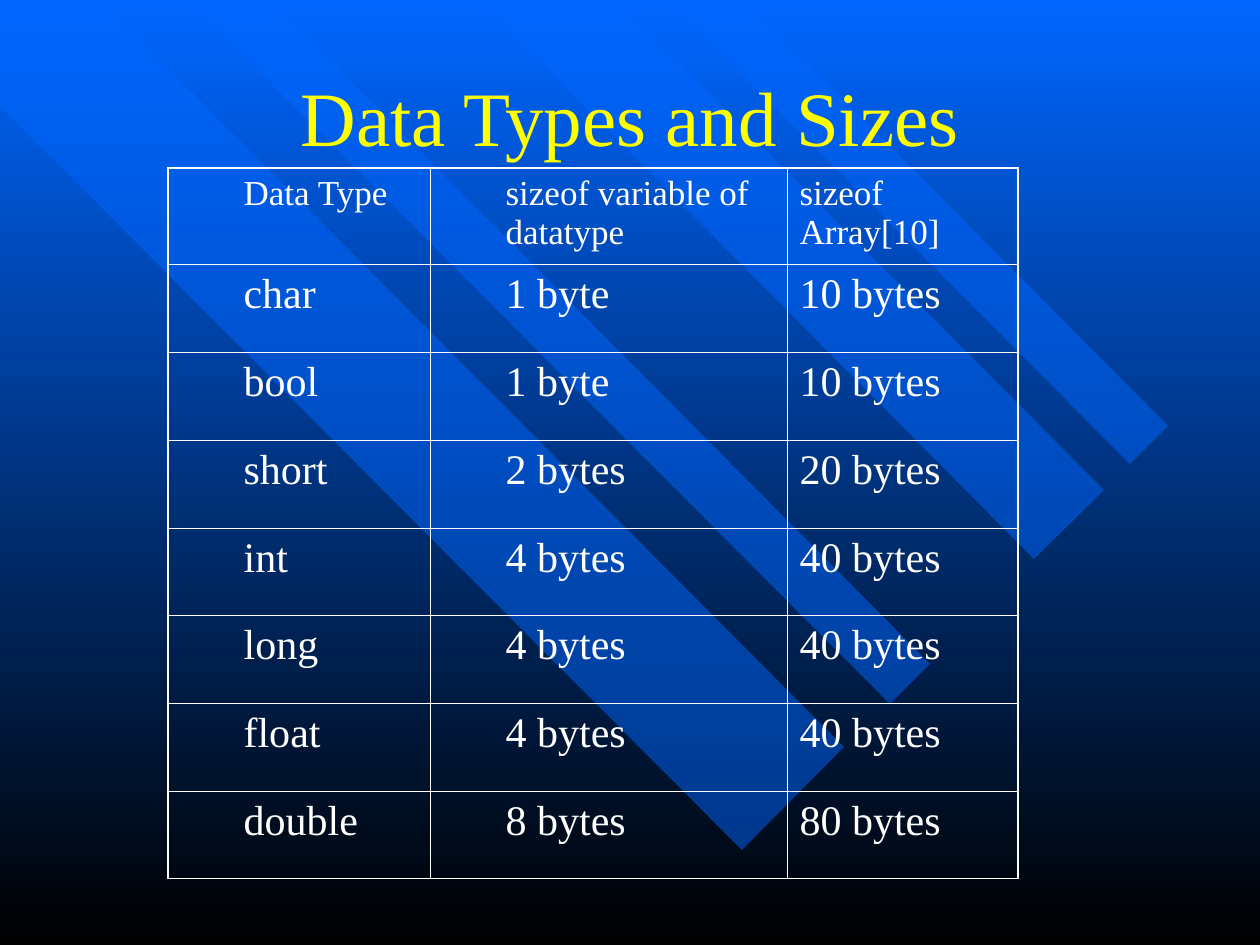
from lxml.etree import SubElement
from pptx import Presentation
from pptx.dml.color import RGBColor
from pptx.enum.text import MSO_ANCHOR as Anchor, PP_ALIGN as Align
from pptx.oxml import parse_xml
from pptx.oxml.ns import nsdecls, qn
from pptx.util import Pt

SCALE = 914400 / 126
BLUE = RGBColor(0x00, 0x66, 0xFF)
BLACK = RGBColor(0x00, 0x00, 0x00)
YELLOW = RGBColor(0xFF, 0xFF, 0x00)
WHITE = RGBColor(0xFF, 0xFF, 0xFF)

STRIPES = [
    [(844, 747), (100, 0), (0, 0), (0, 106), (742, 850)],
    [(270, 0), (930, 664), (890, 704), (188, 0)],
    [(616, 0), (1104, 490), (1034, 559), (479, 0)],
    [(668, 0), (1130, 464), (1168, 426), (745, 0)],
]
DATA_TYPES = [
    ("Data Type", "sizeof variable of datatype", "sizeof Array[10]"),
    ("char", "1 byte", "10 bytes"),
    ("bool", "1 byte", "10 bytes"),
    ("short", "2 bytes", "20 bytes"),
    ("int", "4 bytes", "40 bytes"),
    ("long", "4 bytes", "40 bytes"),
    ("float", "4 bytes", "40 bytes"),
    ("double", "8 bytes", "80 bytes"),
]
COLUMN_WIDTHS = [262, 357, 231]
ROW_HEIGHTS = [96, 88, 88, 88, 87, 88, 88, 87]


def px(length):
    """Turn pixels into EMU."""
    return round(length * SCALE)


class SlideBuilder:
    """Hold the slide and its style, and draw each kind of element."""

    font = "Times New Roman"
    indent = 63
    thin, thick = 0.45, 1.08

    def __init__(self, slide):
        """Start on the given slide."""
        self.slide = slide

    def background(self, top_color, bottom_color):
        """Fill the slide with a vertical gradient."""
        fill = self.slide.background.fill
        fill.gradient()
        fill.gradient_angle = 270
        for stop, color in zip(fill.gradient_stops, (top_color, bottom_color)):
            stop.color.rgb = color

    def stripe(self, points, color, opacity):
        """Draw a translucent polygon."""
        builder = self.slide.shapes.build_freeform(*points[0], scale=SCALE)
        builder.add_line_segments(points[1:], close=True)
        shape = builder.convert_to_shape()
        shape.shadow.inherit = False
        shape.line.fill.background()
        shape.fill.solid()
        shape.fill.fore_color.rgb = color
        color_xml = shape.fill._xPr.find(".//" + qn("a:srgbClr"))
        SubElement(color_xml, qn("a:alpha"), val=str(opacity * 1000))

    def run(self, paragraph, text, size, color):
        """Add one styled run to a paragraph."""
        run = paragraph.add_run()
        run.text = text
        run.font.name = self.font
        run.font.size = Pt(size)
        run.font.color.rgb = color

    def title(self, text, left, top, width, height):
        """Add the centred title."""
        box = self.slide.shapes.add_textbox(*map(px, (left, top, width, height)))
        frame = box.text_frame
        frame.word_wrap = True
        frame.vertical_anchor = Anchor.MIDDLE
        paragraph = frame.paragraphs[0]
        paragraph.alignment = Align.CENTER
        self.run(paragraph, text, 44, YELLOW)

    def borders(self, cell, widths):
        """Draw the left, right, top and bottom borders of a cell."""
        properties = cell._tc.get_or_add_tcPr()
        for index, (side, width) in enumerate(zip("LRTB", widths)):
            properties.insert(index, parse_xml(
                f'<a:ln{side} {nsdecls("a")} w="{Pt(width)}"><a:solidFill>'
                f'<a:srgbClr val="{WHITE}"/></a:solidFill></a:ln{side}>'))

    def table(self, rows, left, top, column_widths, row_heights):
        """Add an unfilled table with a thick outer frame."""
        last_row, last_column = len(rows) - 1, len(column_widths) - 1
        table = self.slide.shapes.add_table(
            len(rows), len(column_widths), px(left), px(top),
            px(sum(column_widths)), px(sum(row_heights))).table
        table.first_row = table.horz_banding = False
        for column, width in zip(table.columns, column_widths):
            column.width = px(width)
        for row, height in zip(table.rows, row_heights):
            row.height = px(height)
        for i, texts in enumerate(rows):
            for j, text in enumerate(texts):
                cell = table.cell(i, j)
                cell.fill.background()
                outer = (j == 0, j == last_column, i == 0, i == last_row)
                self.borders(cell, [self.thick if edge else self.thin for edge in outer])
                paragraph = cell.text_frame.paragraphs[0]
                paragraph.space_before = Pt(5 if i == 0 else 6)
                if j < last_column:
                    paragraph.level = 1
                    properties = paragraph._p.get_or_add_pPr()
                    properties.set("marL", str(px(self.indent)))
                    properties.set("indent", "0")
                self.run(paragraph, text, 20 if i == 0 else 24, WHITE)


def main():
    """Build the slide and save it."""
    presentation = Presentation()
    presentation.slide_width, presentation.slide_height = px(1260), px(945)
    builder = SlideBuilder(presentation.slides.add_slide(presentation.slide_layouts[6]))
    builder.background(BLUE, BLACK)
    for points in STRIPES:
        builder.stripe(points, BLUE, 50)
    builder.title("Data Types and Sizes", 94, 32, 1072, 168)
    builder.table(DATA_TYPES, 168, 168, COLUMN_WIDTHS, ROW_HEIGHTS)
    presentation.save("out.pptx")


if __name__ == "__main__":
    main()
